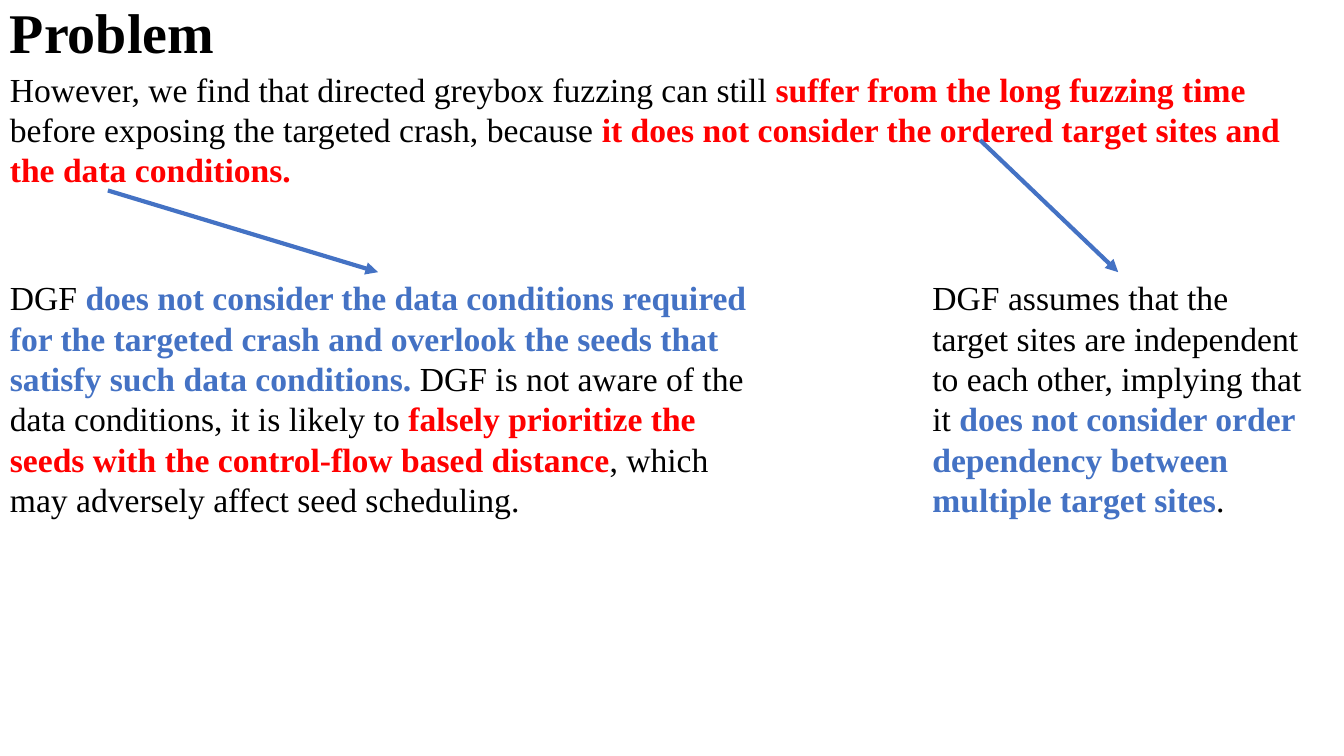
from dataclasses import dataclass

from lxml.etree import SubElement
from pptx import Presentation
from pptx.dml.color import RGBColor
from pptx.enum.shapes import MSO_CONNECTOR
from pptx.enum.text import MSO_AUTO_SIZE
from pptx.oxml.ns import qn
from pptx.slide import Slide
from pptx.util import Inches, Pt

SLIDE_WIDTH = Inches(13.33)
SLIDE_HEIGHT = Inches(7.5)

COLOURS = {"black": "000000", "red": "FF0000", "blue": "4472C4"}

# Shares of the slide's height
TITLE_TOP = -0.0093
INTRODUCTION_TOP = 0.084
DETAIL_TOP = 0.36
DETAIL_HEIGHT = 0.336

FONT_FORMATS = {
    "plain": {"name": "Times New Roman", "bold": False},
    "strong": {"name": "Times New Roman", "bold": True},
}


@dataclass(frozen=True)
class Phrase:
    text: str
    colour: str = "black"
    style: str = "plain"


@dataclass(frozen=True)
class TextBlock:
    """Text placed by shares of the slide's width and height."""
    left: float
    top: float
    width: float
    height: float
    phrases: tuple[Phrase, ...]
    size: int = 24
    wrap: bool = True


@dataclass(frozen=True)
class Arrow:
    """Arrow between two points, as shares of the slide's size."""
    start: tuple[float, float]
    end: tuple[float, float]


INTRODUCTION = TextBlock(0, INTRODUCTION_TOP, 0.989, 0.175, (
    Phrase("However, we find that directed greybox fuzzing can still "),
    Phrase("suffer from the long fuzzing time ", "red", "strong"),
    Phrase("before exposing the targeted crash, because "),
    Phrase("it does not consider the ordered target sites and the data conditions.",
           "red", "strong"),
))

TITLE = TextBlock(0, TITLE_TOP, 0.169, 0.103,
                  (Phrase("Problem", style="strong"),), size=40, wrap=False)

DATA_CONDITIONS = TextBlock(0, DETAIL_TOP, 0.5634, DETAIL_HEIGHT, (
    Phrase("DGF "),
    Phrase("does not consider the data conditions required for the targeted crash "
           "and overlook the seeds that satisfy such data conditions. ",
           "blue", "strong"),
    Phrase("DGF is not aware of the data conditions, it is likely to "),
    Phrase("falsely prioritize the seeds with the control-flow based distance",
           "red", "strong"),
    Phrase(", which may adversely affect seed scheduling."),
))

TARGET_ORDER = TextBlock(0.6864, DETAIL_TOP, 0.2918, DETAIL_HEIGHT, (
    Phrase("DGF assumes that the target sites are independent to each other, "
           "implying that it "),
    Phrase("does not consider order dependency between multiple target sites",
           "blue", "strong"),
    Phrase("."),
))

TEXT_BLOCKS = (INTRODUCTION, TITLE, DATA_CONDITIONS, TARGET_ORDER)

ARROWS = (
    Arrow((0.7292, 0.1853), (0.832, DETAIL_TOP)),
    Arrow((0.0803, 0.252), (0.2813, DETAIL_TOP)),
)


def across(share: float) -> int:
    return round(SLIDE_WIDTH * share)


def down(share: float) -> int:
    return round(SLIDE_HEIGHT * share)


def add_text_block(slide: Slide, block: TextBlock) -> None:
    shape = slide.shapes.add_textbox(across(block.left), down(block.top),
                                     across(block.width), down(block.height))
    frame = shape.text_frame
    frame.word_wrap = block.wrap
    frame.auto_size = MSO_AUTO_SIZE.SHAPE_TO_FIT_TEXT
    paragraph = frame.paragraphs[0]
    for phrase in block.phrases:
        run = paragraph.add_run()
        run.text = phrase.text
        run.font.size = Pt(block.size)
        run.font.color.rgb = RGBColor.from_string(COLOURS[phrase.colour])
        for attribute, value in FONT_FORMATS[phrase.style].items():
            setattr(run.font, attribute, value)


def add_arrow(slide: Slide, arrow: Arrow) -> None:
    connector = slide.shapes.add_connector(
        MSO_CONNECTOR.STRAIGHT,
        across(arrow.start[0]), down(arrow.start[1]),
        across(arrow.end[0]), down(arrow.end[1]))
    connector.line.width = Pt(3)
    connector.line.color.rgb = RGBColor.from_string(COLOURS["blue"])
    SubElement(connector.line._get_or_add_ln(), qn("a:tailEnd"), type="triangle")
    SubElement(connector._element.spPr, qn("a:effectLst"))


def main() -> None:
    presentation = Presentation()
    presentation.slide_width = SLIDE_WIDTH
    presentation.slide_height = SLIDE_HEIGHT
    slide = presentation.slides.add_slide(presentation.slide_layouts[6])
    for block in TEXT_BLOCKS:
        add_text_block(slide, block)
    for arrow in ARROWS:
        add_arrow(slide, arrow)
    presentation.save("out.pptx")


if __name__ == "__main__":
    main()
